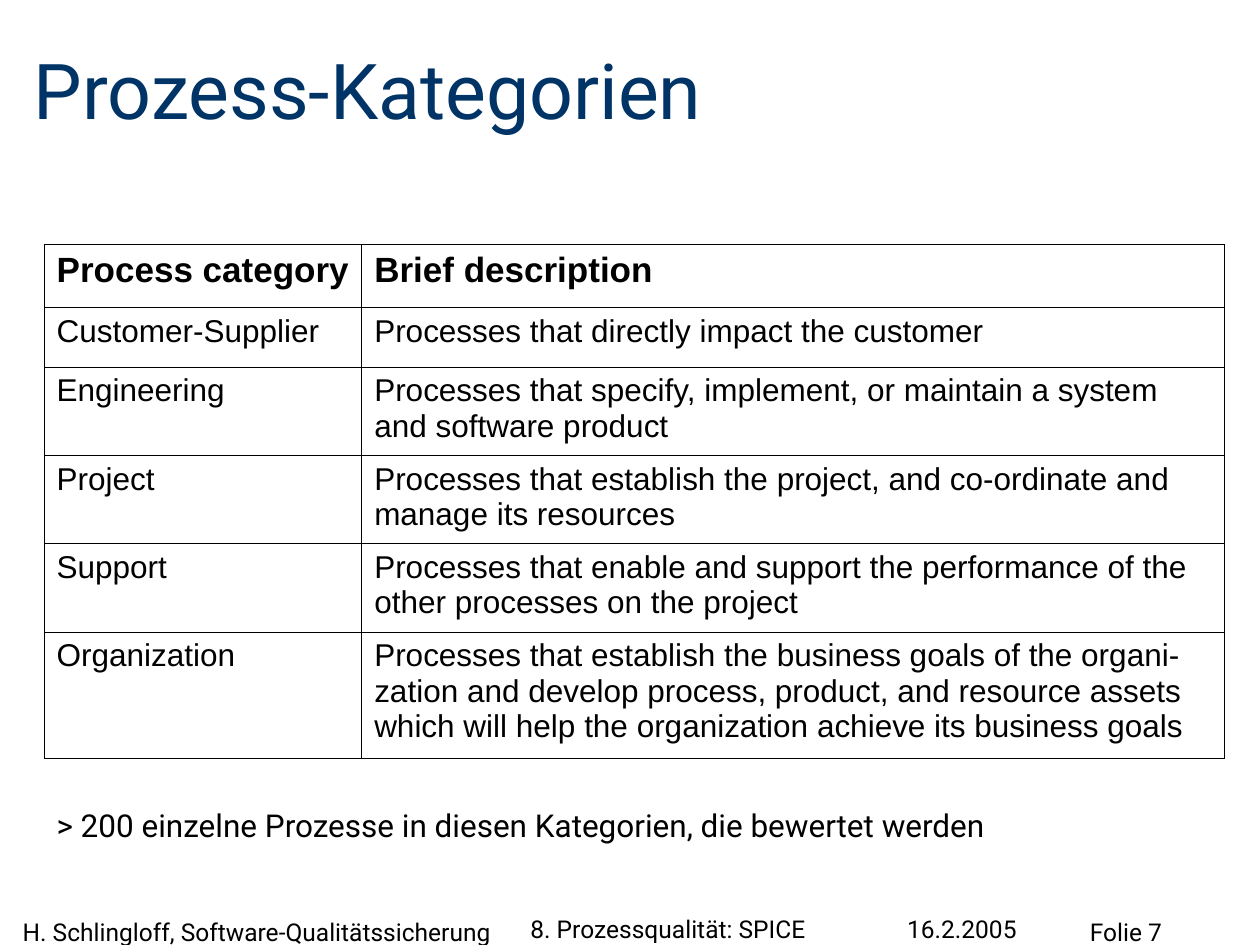
import pptx
import pptx.dml.color
import pptx.enum.text
import pptx.oxml.ns
import pptx.util
from lxml import etree

Pt = pptx.util.Pt
Anchor = pptx.enum.text.MSO_ANCHOR

# Content
COLORS = {"title": "003366", "text": "000000", "border": "000000"}
TITLE = "Prozess-Kategorien"
ROWS = [
    ("Process category", "Brief description"),
    ("Customer-Supplier", "Processes that directly impact the customer"),
    ("Engineering", "Processes that specify, implement, or maintain a system "
                    "and software product"),
    ("Project", "Processes that establish the project, and co-ordinate and "
                "manage its resources"),
    ("Support", "Processes that enable and support the performance of the "
                "other processes on the project"),
    ("Organization", "Processes that establish the business goals of the organi-"
                     "zation and develop process, product, and resource assets "
                     "which will help the organization achieve its business goals"),
]
COLUMN_WIDTHS = [181.5, 493]
ROW_HEIGHTS = [36, 34, 50.5, 50.5, 50.5, 72.5]
TABLE_LEFT, TABLE_TOP = 25.2, 139.7
NOTE = "> 200 einzelne Prozesse in diesen Kategorien, die bewertet werden"
# Footer: text, left, top, width, height, anchor
FOOTER = [
    ("H. Schlingloff, Software-Qualitätssicherung", 13, 524.2, 283, 16.5, Anchor.TOP),
    ("8. Prozessqualität: SPICE", 303.1, 519, 209.5, 20.3, Anchor.BOTTOM),
    ("16.2.2005", 518.4, 524.2, 113, 15.1, Anchor.BOTTOM),
    ("Folie 7", 622.8, 524.2, 103.7, 19.4, Anchor.TOP),
]


def format_text(frame, text, size, font_name, color, bold=False):
    frame.text = text
    paragraph = frame.paragraphs[0]
    paragraph.alignment = pptx.enum.text.PP_ALIGN.LEFT
    paragraph.font.size = Pt(size)
    paragraph.font.name = font_name
    paragraph.font.bold = bold
    paragraph.font.color.rgb = pptx.dml.color.RGBColor.from_string(COLORS[color])


def set_frame(frame, anchor, margin_x=0, margin_y=0):
    frame.word_wrap = True
    frame.auto_size = pptx.enum.text.MSO_AUTO_SIZE.NONE
    frame.vertical_anchor = anchor
    frame.margin_left = frame.margin_right = Pt(margin_x)
    frame.margin_top = frame.margin_bottom = Pt(margin_y)


def add_text(text, left, top, width, height, size, anchor, margin_x=0, margin_y=0):
    shape = slide.shapes.add_textbox(Pt(left), Pt(top), Pt(width), Pt(height))
    set_frame(shape.text_frame, anchor, margin_x, margin_y)
    format_text(shape.text_frame, text, size, "Roboto", "text")


def set_borders(cell, width):
    properties = cell._tc.get_or_add_tcPr()
    qn = pptx.oxml.ns.qn
    for index, side in enumerate(("a:lnL", "a:lnR", "a:lnT", "a:lnB")):
        line = etree.Element(qn(side), w=str(Pt(width)))
        fill = etree.SubElement(line, qn("a:solidFill"))
        etree.SubElement(fill, qn("a:srgbClr"), val=COLORS["border"])
        properties.insert(index, line)


presentation = pptx.Presentation()
presentation.slide_width, presentation.slide_height = Pt(720), Pt(540)
slide = presentation.slides.add_slide(presentation.slide_layouts[5])

# Title
title = slide.shapes.title
title.left, title.top, title.width, title.height = Pt(19.4), Pt(26), Pt(685), Pt(51)
set_frame(title.text_frame, Anchor.BOTTOM)
format_text(title.text_frame, TITLE, 44, "Roboto", "title")

# Table of process categories
table_width = sum(COLUMN_WIDTHS)
table = slide.shapes.add_table(
    len(ROWS), len(COLUMN_WIDTHS), Pt(TABLE_LEFT), Pt(TABLE_TOP),
    Pt(table_width), Pt(sum(ROW_HEIGHTS))).table
table.horz_banding = False
for column, width in zip(table.columns, COLUMN_WIDTHS):
    column.width = Pt(width)
for row_index, (row, height, texts) in enumerate(zip(table.rows, ROW_HEIGHTS, ROWS)):
    row.height = Pt(height)
    header = row_index == 0
    for cell, text in zip(row.cells, texts):
        cell.fill.background()
        set_borders(cell, 0.45)
        format_text(cell.text_frame, text, 20 if header else 18, "Arial", "text", header)

# Note below the table
add_text(NOTE, TABLE_LEFT, 457.2, table_width, 28.8, 18, Anchor.TOP, 7.2, 3.6)

# Footer
for text, left, top, width, height, anchor in FOOTER:
    add_text(text, left, top, width, height, 14, anchor)

presentation.save("out.pptx")
